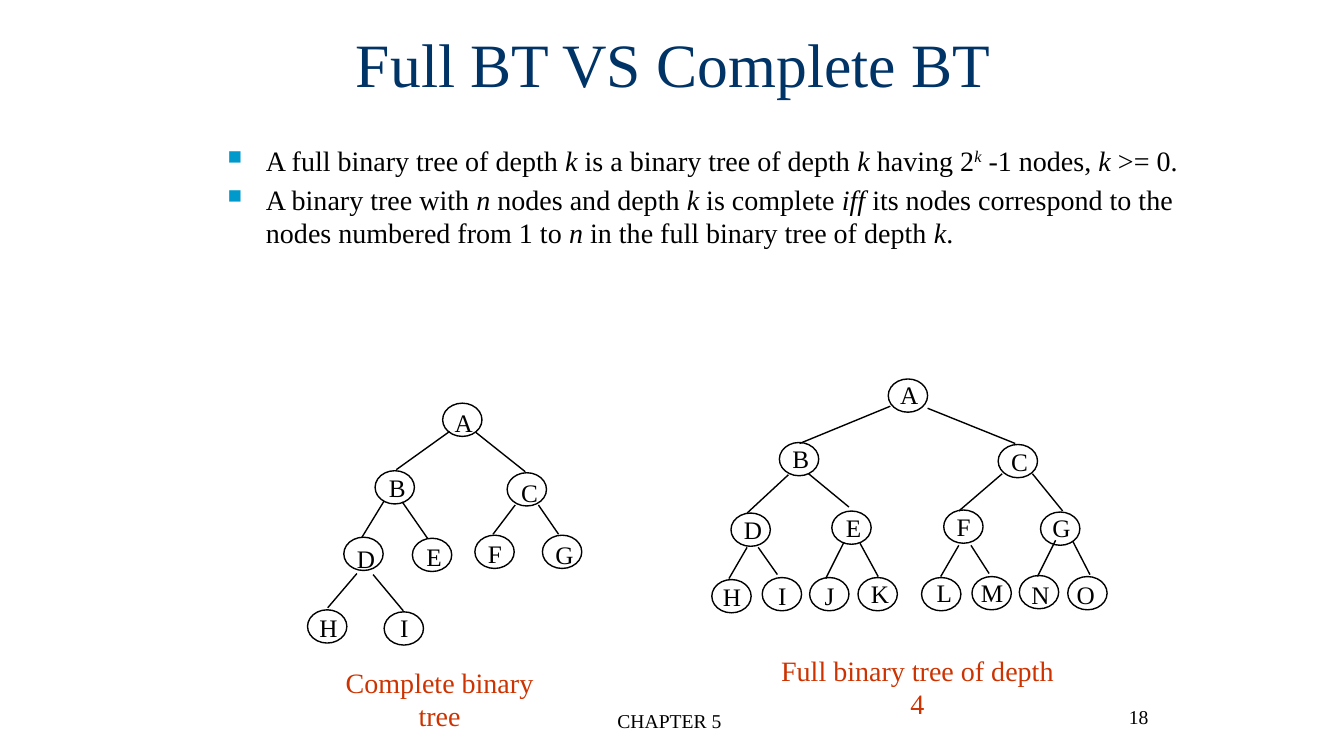
from lxml import etree
from pptx import Presentation
from pptx import util as u
from pptx.dml.color import RGBColor
from pptx.enum import shapes, text
from pptx.oxml.ns import qn

FONT = "Times New Roman"
BLACK, NAVY, RED, BLUE = "000000", "003366", "CC3300", "0099CC"
NODE_WIDTH, NODE_HEIGHT = 0.39, 0.33
LETTER_HEIGHT = 0.4
LETTER_WIDTHS = {"B": 0.37, "C": 0.37, "E": 0.35, "F": 0.34, "I": 0.28,
                 "J": 0.3, "L": 0.35, "M": 0.42}

BULLETS = [
    "A full binary tree of depth *k* is a binary tree of depth *k* having 2*^k* -1 nodes, *k *>= 0.",
    "A binary tree with *n* nodes and depth *k* is complete *iff* its nodes correspond to the "
    "nodes numbered from 1 to *n* in the full binary tree of depth *k*.",
]

# Nodes: letter, ellipse left and top, letter box left and top
COMPLETE_NODES = [
    ("A", 4.39, 4, 4.41, 3.99),
    ("B", 3.72, 4.67, 3.76, 4.64),
    ("C", 5.03, 4.69, 5.07, 4.69),
    ("D", 3.41, 5.33, 3.44, 5.34),
    ("E", 4.09, 5.34, 4.13, 5.32),
    ("F", 4.71, 5.31, 4.74, 5.29),
    ("G", 5.38, 5.31, 5.41, 5.3),
    ("H", 3.05, 6.05, 3.07, 6.03),
    ("I", 3.81, 6.07, 3.87, 6.03),
]
FULL_NODES = [
    ("A", 8.81, 3.76, 8.83, 3.71),
    ("B", 7.73, 4.39, 7.76, 4.35),
    ("C", 9.9, 4.41, 9.93, 4.38),
    ("D", 7.25, 5.09, 7.28, 5.05),
    ("E", 8.25, 5.07, 8.29, 5.03),
    ("F", 9.36, 5.06, 9.39, 5.02),
    ("G", 10.32, 5.08, 10.34, 5.03),
    ("H", 7.06, 5.75, 7.07, 5.72),
    ("I", 7.56, 5.73, 7.62, 5.71),
    ("J", 8.03, 5.73, 8.08, 5.71),
    ("K", 8.51, 5.73, 8.54, 5.69),
    ("L", 9.14, 5.73, 9.19, 5.68),
    ("M", 9.64, 5.72, 9.63, 5.68),
    ("N", 10.11, 5.71, 10.13, 5.7),
    ("O", 10.59, 5.72, 10.58, 5.7),
]

# Edges: parent end x and y, child end x and y
COMPLETE_EDGES = [
    (4.46, 4.28, 3.93, 4.66), (4.72, 4.29, 5.21, 4.68),
    (3.81, 4.97, 3.59, 5.33), (3.99, 4.98, 4.24, 5.34),
    (5.11, 5.01, 4.89, 5.3), (5.34, 5.01, 5.54, 5.3),
    (3.54, 5.69, 3.25, 6.03), (3.7, 5.7, 4, 6.06),
]
FULL_EDGES = [
    (8.83, 4.03, 7.93, 4.4), (9.2, 4.05, 10.07, 4.4),
    (7.82, 4.71, 7.41, 5.09), (8.02, 4.7, 8.42, 5.03),
    (9.94, 4.7, 9.51, 5.07), (10.24, 4.7, 10.54, 5.07),
    (7.41, 5.43, 7.23, 5.74), (7.52, 5.43, 7.71, 5.7),
    (8.37, 5.38, 8.19, 5.74), (8.53, 5.39, 8.71, 5.72),
    (9.51, 5.41, 9.33, 5.72), (9.63, 5.41, 9.81, 5.69),
    (10.47, 5.36, 10.29, 5.72), (10.64, 5.37, 10.81, 5.7),
]


def color(hex_code):
    return RGBColor.from_string(hex_code)


def inches(*lengths):
    return [u.Inches(length) for length in lengths]


def add_bullet(para):
    props = para._p.get_or_add_pPr()
    props.set("marL", str(u.Inches(0.38)))
    props.set("indent", str(-u.Inches(0.38)))
    tint = etree.SubElement(props, qn("a:buClr"))
    etree.SubElement(tint, qn("a:srgbClr"), val=BLUE)
    etree.SubElement(props, qn("a:buSzPct"), val="70000")
    etree.SubElement(props, qn("a:buChar"), char="■")


def add_text(page, place, *lines, size=18, fill=BLACK, align=text.PP_ALIGN.LEFT,
             anchor=text.MSO_ANCHOR.TOP, wrap=True, bullet=False, side=0.1):
    """Add one paragraph per line; *stars* mark italics and a leading ^ a superscript."""
    frame = page.shapes.add_textbox(*inches(*place)).text_frame
    frame.word_wrap = wrap
    frame.vertical_anchor = anchor
    frame.margin_left = frame.margin_right = u.Inches(side)
    for number, line in enumerate(lines):
        para = frame.add_paragraph() if number else frame.paragraphs[0]
        para.alignment = align
        if number:
            para.space_before = u.Pt(4)
        if bullet:
            add_bullet(para)
        for part, words in enumerate(line.split("*")):
            if not words:
                continue
            span = para.add_run()
            span.text = words.lstrip("^")
            font = span.font
            font.name, font.size = FONT, u.Pt(size)
            font.color.rgb = color(fill)
            if part % 2:
                font.italic = True
            if words.startswith("^"):
                font._element.set("baseline", "30000")


def style_line(line):
    line.color.rgb = color(BLACK)
    line.width = u.Pt(1)


def add_node(page, letter, left, top, letter_left, letter_top):
    place = inches(left, top, NODE_WIDTH, NODE_HEIGHT)
    node = page.shapes.add_shape(shapes.MSO_SHAPE.OVAL, *place)
    node.shadow.inherit = False
    node.fill.background()
    style_line(node.line)
    width = LETTER_WIDTHS.get(letter, 0.38)
    add_text(page, (letter_left, letter_top, width, LETTER_HEIGHT), letter, wrap=False)


def add_edge(page, *ends):
    edge = page.shapes.add_connector(shapes.MSO_CONNECTOR.STRAIGHT, *inches(*ends))
    style_line(edge.line)
    etree.SubElement(edge._element.spPr, qn("a:effectLst"))


def add_tree(page, nodes, edges):
    for node in nodes:
        add_node(page, *node)
    for edge in edges:
        add_edge(page, *edge)


def main():
    deck = Presentation()
    deck.slide_width, deck.slide_height = inches(13.33, 7.5)
    page = deck.slides.add_slide(deck.slide_layouts[6])
    center = text.PP_ALIGN.CENTER

    add_text(page, (4.53, 6.98, 4.22, 0.5), "CHAPTER 5", size=14, align=center)
    add_text(page, (9.41, 6.94, 2.08, 0.5), "18", size=14, align=text.PP_ALIGN.RIGHT)
    add_text(page, (1.67, 0, 10.02, 1.25), "Full BT VS Complete BT", size=44,
             fill=NAVY, align=center, anchor=text.MSO_ANCHOR.MIDDLE)
    add_text(page, (2.16, 1.37, 10.13, 2.49), *BULLETS, size=20, bullet=True)

    add_tree(page, COMPLETE_NODES, COMPLETE_EDGES)
    add_tree(page, FULL_NODES, FULL_EDGES)

    caption = {"size": 20, "fill": RED, "align": center, "side": 0.15}
    add_text(page, (7.55, 6.43, 3.1, 0.43), "Full binary tree of depth 4", **caption)
    add_text(page, (3.09, 6.55, 2.54, 0.43), "Complete binary tree", **caption)
    deck.save("out.pptx")


if __name__ == "__main__":
    main()
